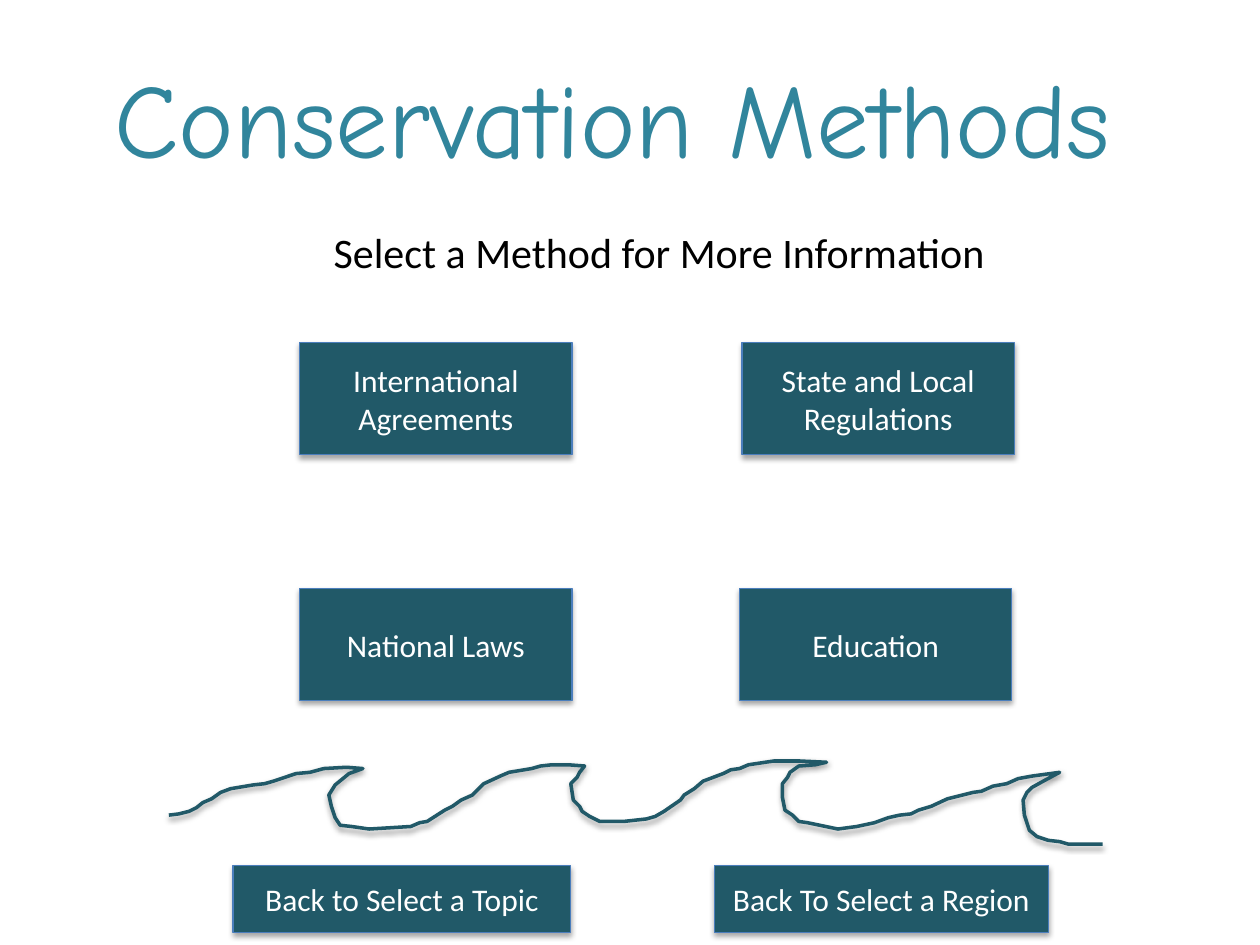
from lxml import etree
from pptx import Presentation
from pptx.dml.color import RGBColor
from pptx.enum.shapes import MSO_SHAPE
from pptx.enum.text import MSO_ANCHOR, PP_ALIGN
from pptx.oxml.ns import qn
from pptx.util import Inches, Pt

RECTANGLE = MSO_SHAPE.RECTANGLE
MIDDLE, TOP = MSO_ANCHOR.MIDDLE, MSO_ANCHOR.TOP
CENTER, LEFT = PP_ALIGN.CENTER, PP_ALIGN.LEFT

COLORS = {
    "title": "31859C",
    "teal": "215968",
    "border": "4B7EBC",
    "text": "000000",
    "button_text": "FFFFFF",
    "shadow": "000000",
}

BUTTON_SIZE = (2.16, 0.89)
METHOD_BUTTONS = [
    ("International Agreements", 2.38, 2.72),
    ("State and Local Regulations", 5.89, 2.72),
    ("National Laws", 2.38, 4.67),
    ("Education", 5.87, 4.67),
]
BACK_BUTTONS = [
    ("Back to Select a Topic", 1.85, 2.68),
    ("Back To Select a Region", 5.67, 2.65),
]
WAVE = [
    (1.34, 6.47), (1.42, 6.46), (1.5, 6.44), (1.56, 6.41), (1.61, 6.37),
    (1.68, 6.34), (1.75, 6.29), (1.83, 6.26), (2.01, 6.23), (2.1, 6.22),
    (2.17, 6.2), (2.35, 6.14), (2.46, 6.13), (2.57, 6.1), (2.75, 6.09),
    (2.88, 6.1), (2.77, 6.14), (2.66, 6.23), (2.61, 6.31), (2.63, 6.4),
    (2.66, 6.49), (2.7, 6.55), (2.79, 6.56), (2.93, 6.58), (3.26, 6.56),
    (3.33, 6.53), (3.39, 6.52), (3.53, 6.43), (3.59, 6.4), (3.66, 6.35),
    (3.75, 6.31), (3.84, 6.22), (3.97, 6.16), (4.04, 6.13), (4.22, 6.1),
    (4.29, 6.08), (4.38, 6.07), (4.51, 6.07), (4.64, 6.08), (4.6, 6.13),
    (4.58, 6.17), (4.53, 6.22), (4.55, 6.35), (4.6, 6.4), (4.62, 6.44),
    (4.68, 6.48), (4.76, 6.52), (4.95, 6.52), (5.13, 6.5), (5.2, 6.48),
    (5.27, 6.44), (5.4, 6.35), (5.43, 6.31), (5.51, 6.26), (5.58, 6.2),
    (5.74, 6.14), (5.8, 6.11), (5.87, 6.1), (5.94, 6.07), (6.14, 6.04),
    (6.35, 6.04), (6.56, 6.05), (6.47, 6.07), (6.34, 6.08), (6.27, 6.13),
    (6.25, 6.17), (6.21, 6.22), (6.21, 6.33), (6.23, 6.43), (6.29, 6.47),
    (6.34, 6.52), (6.41, 6.53), (6.65, 6.58), (6.8, 6.56), (6.94, 6.53),
    (7.05, 6.49), (7.14, 6.47), (7.23, 6.46), (7.29, 6.43), (7.39, 6.4),
    (7.52, 6.34), (7.72, 6.29), (7.79, 6.28), (7.88, 6.24), (7.99, 6.22),
    (8.08, 6.18), (8.19, 6.16), (8.41, 6.13), (8.28, 6.2), (8.19, 6.25),
    (8.15, 6.29), (8.12, 6.35), (8.13, 6.47), (8.17, 6.59), (8.23, 6.64),
    (8.32, 6.67), (8.41, 6.68), (8.48, 6.7), (8.75, 6.7),
]


def color(name):
    return RGBColor.from_string(COLORS[name])


def write_text(frame, text, *, size, ink, font="Calibri", align=LEFT, anchor=TOP):
    frame.word_wrap = True
    frame.vertical_anchor = anchor
    paragraph = frame.paragraphs[0]
    paragraph.alignment = align
    run = paragraph.add_run()
    run.text = text
    run.font.name = font
    run.font.size = Pt(size)
    run.font.color.rgb = color(ink)


class SlideBuilder:
    """Holds the current slide and the look shared by its elements."""

    blur = 3.1
    button_text_size = 18

    def __init__(self, slide):
        self.slide = slide

    def label(self, text, left, top, width, height, **style):
        box = self.slide.shapes.add_textbox(
            Inches(left), Inches(top), Inches(width), Inches(height))
        write_text(box.text_frame, text, **style)

    def button(self, text, left, top, width, height):
        button = self.slide.shapes.add_shape(
            RECTANGLE, Inches(left), Inches(top), Inches(width), Inches(height))
        button.fill.solid()
        button.fill.fore_color.rgb = color("teal")
        self.outline(button, "border", 0.75)
        self.drop_shadow(button, opacity=35, distance=1.8)
        write_text(button.text_frame, text, size=self.button_text_size,
                   ink="button_text", align=CENTER, anchor=MIDDLE)

    def wave(self, points):
        start, *rest = [(Inches(x), Inches(y)) for x, y in points]
        builder = self.slide.shapes.build_freeform(*start)
        builder.add_line_segments(rest, close=False)
        wave = builder.convert_to_shape()
        wave.fill.background()
        self.outline(wave, "teal", 2)
        self.drop_shadow(wave, opacity=38, distance=1.6)

    def outline(self, shape, ink, width):
        shape.line.color.rgb = color(ink)
        shape.line.width = Pt(width)

    def drop_shadow(self, shape, opacity, distance):
        """Put a soft shadow straight below the shape."""
        shape.shadow.inherit = False
        effects = shape._element.spPr.find(qn("a:effectLst"))
        shadow = etree.SubElement(
            effects, qn("a:outerShdw"), blurRad=str(Pt(self.blur)),
            dist=str(Pt(distance)), dir="5400000", rotWithShape="0")
        ink = etree.SubElement(shadow, qn("a:srgbClr"), val=COLORS["shadow"])
        etree.SubElement(ink, qn("a:alpha"), val=str(opacity * 1000))


def main():
    deck = Presentation()
    deck.slide_width, deck.slide_height = Inches(10), Inches(7.5)
    page = SlideBuilder(deck.slides.add_slide(deck.slide_layouts[6]))

    page.label("Conservation Methods ", 0.5, 0.3, 9, 1.25, size=60, ink="title",
               font="Comic Neue", align=CENTER, anchor=MIDDLE)
    page.label("Select a Method for More Information", 2.55, 1.75, 5.89, 0.5,
               size=24, ink="text")
    for method, left, top in METHOD_BUTTONS:
        page.button(method, left, top, *BUTTON_SIZE)
    page.wave(WAVE)
    for target, left, width in BACK_BUTTONS:
        page.button(target, left, 6.87, width, 0.53)

    deck.save("out.pptx")


if __name__ == "__main__":
    main()
